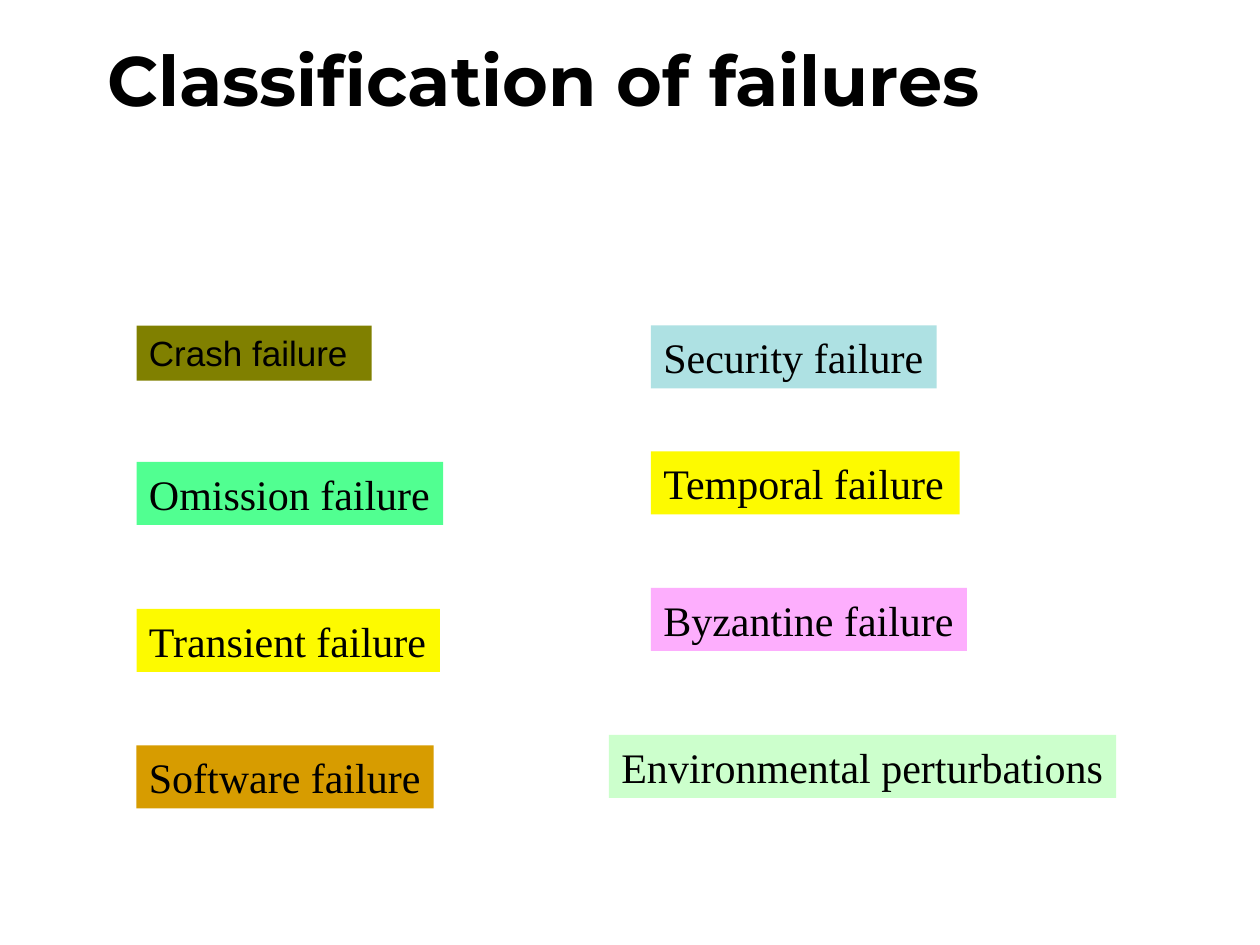
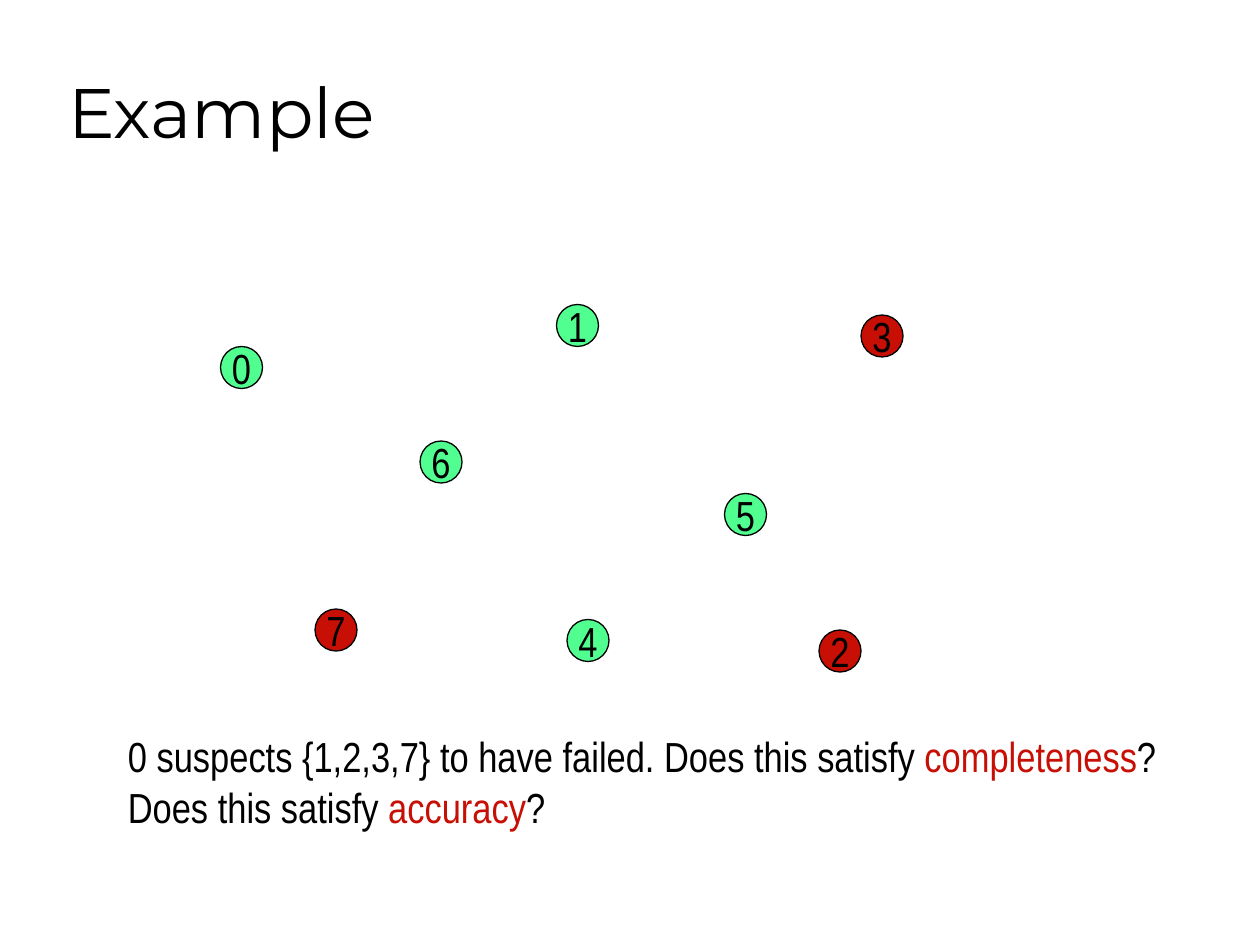
from dataclasses import dataclass

import pptx
import pptx.dml.color
import pptx.enum.shapes
import pptx.enum.text
import pptx.util

SHAPES = pptx.enum.shapes.MSO_SHAPE
ANCHOR = pptx.enum.text.MSO_ANCHOR
ALIGN = pptx.enum.text.PP_ALIGN
FIT = pptx.enum.text.MSO_AUTO_SIZE


@dataclass(frozen=True)
class Theme:
    ink: str = "000000"
    green: str = "51FF91"
    red: str = "C70F05"
    yellow: str = "FDFA00"
    olive: str = "808000"
    amber: str = "D79C00"
    aqua: str = "AEE1E3"
    pink: str = "FDAEFD"
    mint: str = "CCFFCC"
    title_font: str = "Montserrat"
    label_font: str = "Times New Roman"
    plain_font: str = "Arial"
    narrow_font: str = "Arial Narrow"
    title_size: int = 40
    text_size: int = 24
    small_size: int = 20
    outline: float = 0.75


THEME = Theme()
WIDTH = pptx.util.Inches(10)
HEIGHT = pptx.util.Inches(7.5)
COLUMNS, ROWS = 120, 90
NODE_SIZE = 4
LABEL_HEIGHT = 6

FAILURES = [
    ("Omission failure", 13, 44, 29.2, THEME.green),
    ("Transient failure", 13, 58, 28.9, THEME.yellow),
    ("Byzantine failure", 62, 56, 30.1, THEME.pink),
    ("Software failure", 13, 71, 28.3, THEME.amber),
    ("Temporal failure", 62, 43, 29.4, THEME.yellow),
    ("Security failure", 62, 31, 27.2, THEME.aqua),
    ("Environmental perturbations", 58, 70, 48.3, THEME.mint),
]

NODES = {
    0: (21, 33),
    6: (40, 42),
    1: (53, 29),
    3: (82, 30),
    5: (69, 47),
    2: (78, 60),
    4: (54, 59),
    7: (30, 58),
}
FAILED = {2, 3, 7}

QUESTIONS = [
    ("0 suspects {1,2,3,7} to have failed. Does this satisfy ", "completeness"),
    ("Does this satisfy ", "accuracy"),
]


def rgb(color):
    return pptx.dml.color.RGBColor.from_string(color)


def grid(column, row, columns, rows):
    return (
        round(WIDTH * column / COLUMNS),
        round(HEIGHT * row / ROWS),
        round(WIDTH * columns / COLUMNS),
        round(HEIGHT * rows / ROWS),
    )


def style(p, font, size, bold=False, align=ALIGN.LEFT):
    p.alignment = align
    p.font.name = font
    p.font.size = pptx.util.Pt(size)
    p.font.bold = bold
    p.font.color.rgb = rgb(THEME.ink)


def add_titled_slide(prs, text, column, row, bold=False):
    s = prs.slides.add_slide(prs.slide_layouts[5])
    title = s.shapes.title
    title.left, title.top, title.width, title.height = grid(column, row, 102, 15)
    tf = title.text_frame
    tf.text = text
    tf.auto_size = FIT.NONE
    tf.vertical_anchor = ANCHOR.MIDDLE
    style(tf.paragraphs[0], THEME.title_font, THEME.title_size, bold)
    return s


def add_filled(s, kind, box, fill, text, anchor):
    sp = s.shapes.add_shape(kind, *box)
    sp.shadow.inherit = False
    sp.fill.solid()
    sp.fill.fore_color.rgb = rgb(fill)
    tf = sp.text_frame
    tf.text = text
    tf.word_wrap = False
    tf.auto_size = FIT.NONE
    tf.vertical_anchor = anchor
    return sp


def add_label(s, text, box, fill, font=THEME.label_font, size=THEME.text_size):
    sp = add_filled(s, SHAPES.RECTANGLE, box, fill, text, ANCHOR.TOP)
    sp.line.fill.background()
    style(sp.text_frame.paragraphs[0], font, size)
    return sp


def add_node(s, number, column, row):
    fill = THEME.red if number in FAILED else THEME.green
    box = grid(column, row, NODE_SIZE, NODE_SIZE)
    sp = add_filled(s, SHAPES.OVAL, box, fill, str(number), ANCHOR.MIDDLE)
    sp.line.color.rgb = rgb(THEME.ink)
    sp.line.width = pptx.util.Pt(THEME.outline)
    style(sp.text_frame.paragraphs[0], THEME.narrow_font, THEME.text_size,
          align=ALIGN.CENTER)


def add_questions(s, box):
    tf = s.shapes.add_textbox(*box).text_frame
    tf.word_wrap = False
    tf.auto_size = FIT.SHAPE_TO_FIT_TEXT
    for i, (lead, term) in enumerate(QUESTIONS):
        p = tf.add_paragraph() if i else tf.paragraphs[0]
        style(p, THEME.narrow_font, THEME.text_size)
        p.add_run().text = lead
        r = p.add_run()
        r.text = term
        r.font.color.rgb = rgb(THEME.red)
        p.add_run().text = "?"


def build_classification(prs):
    s = add_titled_slide(prs, "Classification of failures", 9, 0, bold=True)
    crash = add_label(s, "Crash failure", grid(13, 31, 22.4, 5.25), THEME.olive,
                      THEME.plain_font, THEME.small_size)
    crash.text_frame.word_wrap = True
    for text, column, row, columns, fill in FAILURES:
        add_label(s, text, grid(column, row, columns, LABEL_HEIGHT), fill)


def build_example(prs):
    s = add_titled_slide(prs, "Example", 5.3, 3)
    for number, (column, row) in NODES.items():
        add_node(s, number, column, row)
    add_questions(s, grid(11, 69, 100.3, 10.8))


def main():
    prs = pptx.Presentation()
    prs.slide_width, prs.slide_height = WIDTH, HEIGHT
    build_classification(prs)
    build_example(prs)
    prs.save("out.pptx")


if __name__ == "__main__":
    main()
